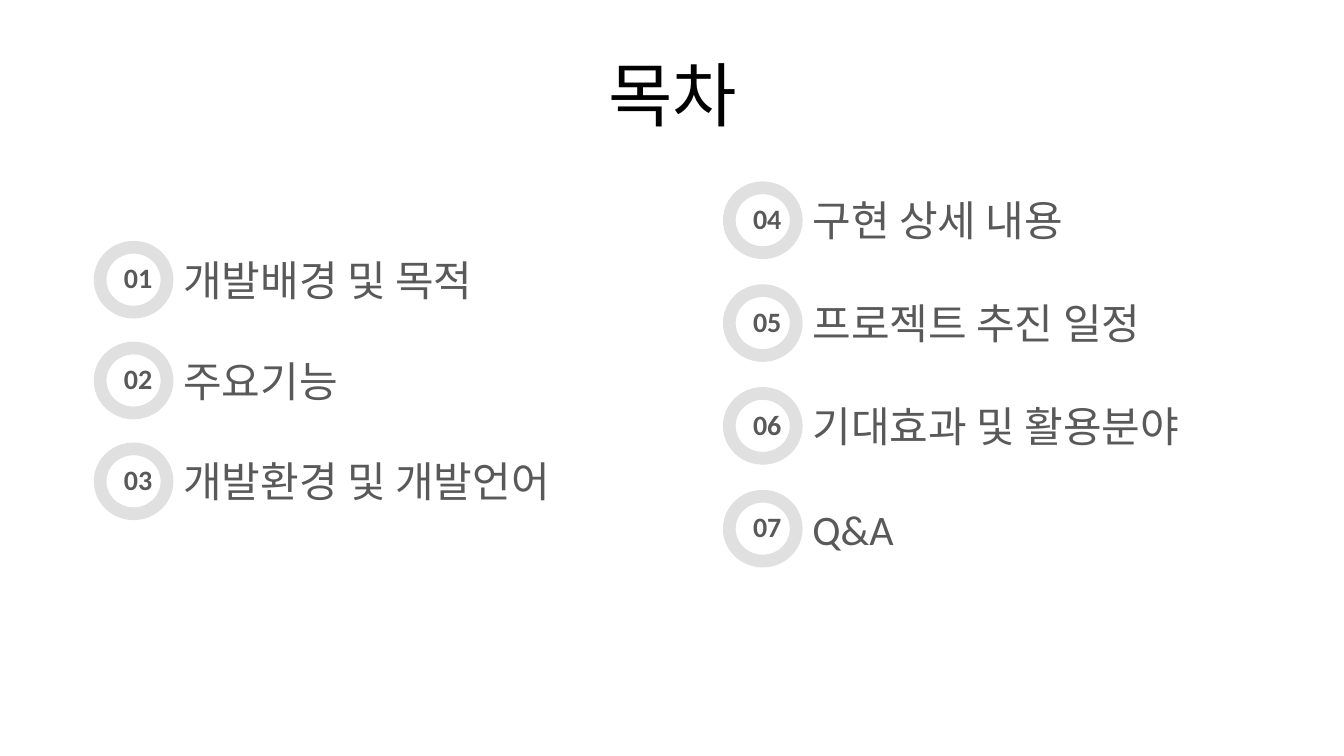
from pptx import Presentation
from pptx.dml.color import RGBColor
from pptx.enum.shapes import MSO_SHAPE as SHAPE
from pptx.enum.text import MSO_ANCHOR as ANCHOR, PP_ALIGN as ALIGN
from pptx.util import Inches, Pt

FONT = "Calibri"
GRAY = "595959"
RING = "E0E0E0"
RING_W, RING_H = 0.79, 0.77
COLUMNS = [
    (0.93, 2.39, 1.0, ["개발배경 및 목적", "주요기능", "개발환경 및 개발언어"]),
    (7.17, 1.8, 1.02, ["구현 상세 내용", "프로젝트 추진 일정", "기대효과 및 활용분야", "Q&A"]),
]


def color(value):
    return RGBColor.from_string(value)


def box(*lengths):
    return [Inches(n) for n in lengths]


def add_run(p, text, size, fill, bold=False):
    r = p.add_run()
    r.text = text
    r.font.name = FONT
    r.font.size = Pt(size)
    r.font.bold = bold
    r.font.color.rgb = color(fill)


def add_title(s, text):
    sp = s.shapes.title
    sp.left, sp.top, sp.width, sp.height = box(0.67, 0.3, 12, 1.25)
    tf = sp.text_frame
    tf.vertical_anchor = ANCHOR.MIDDLE
    p = tf.paragraphs[0]
    p.alignment = ALIGN.CENTER
    add_run(p, text, 50, "000000")


def add_text(s, area, text, size, bold=False, anchor=ANCHOR.TOP, spacing=None):
    tf = s.shapes.add_textbox(*area).text_frame
    tf.word_wrap = True
    tf.vertical_anchor = anchor
    p = tf.paragraphs[0]
    p.line_spacing = spacing
    add_run(p, text, size, GRAY, bold)


def add_ring(s, x, y):
    sp = s.shapes.add_shape(SHAPE.DONUT, *box(x, y, RING_W, RING_H))
    sp.adjustments[0] = 0.164
    sp.shadow.inherit = False
    sp.fill.solid()
    sp.fill.fore_color.rgb = color(RING)
    sp.line.fill.background()


def add_item(s, x, y, number, label):
    add_text(s, box(x + RING_W, y + 0.38, 5.2, 0.34), label, 30,
             anchor=ANCHOR.MIDDLE, spacing=Pt(12))
    add_text(s, box(x + 0.2, y + 0.15, 0.59, 0.44), f"{number:02d}", 20, bold=True)
    add_ring(s, x, y)


def main():
    prs = Presentation()
    prs.slide_width, prs.slide_height = box(13.33, 7.5)
    s = prs.slides.add_slide(prs.slide_layouts[5])
    add_title(s, "목차")
    number = 0
    for x, top, pitch, labels in COLUMNS:
        for row, label in enumerate(labels):
            number += 1
            add_item(s, x, top + row * pitch, number, label)
    prs.save("out.pptx")


if __name__ == "__main__":
    main()
